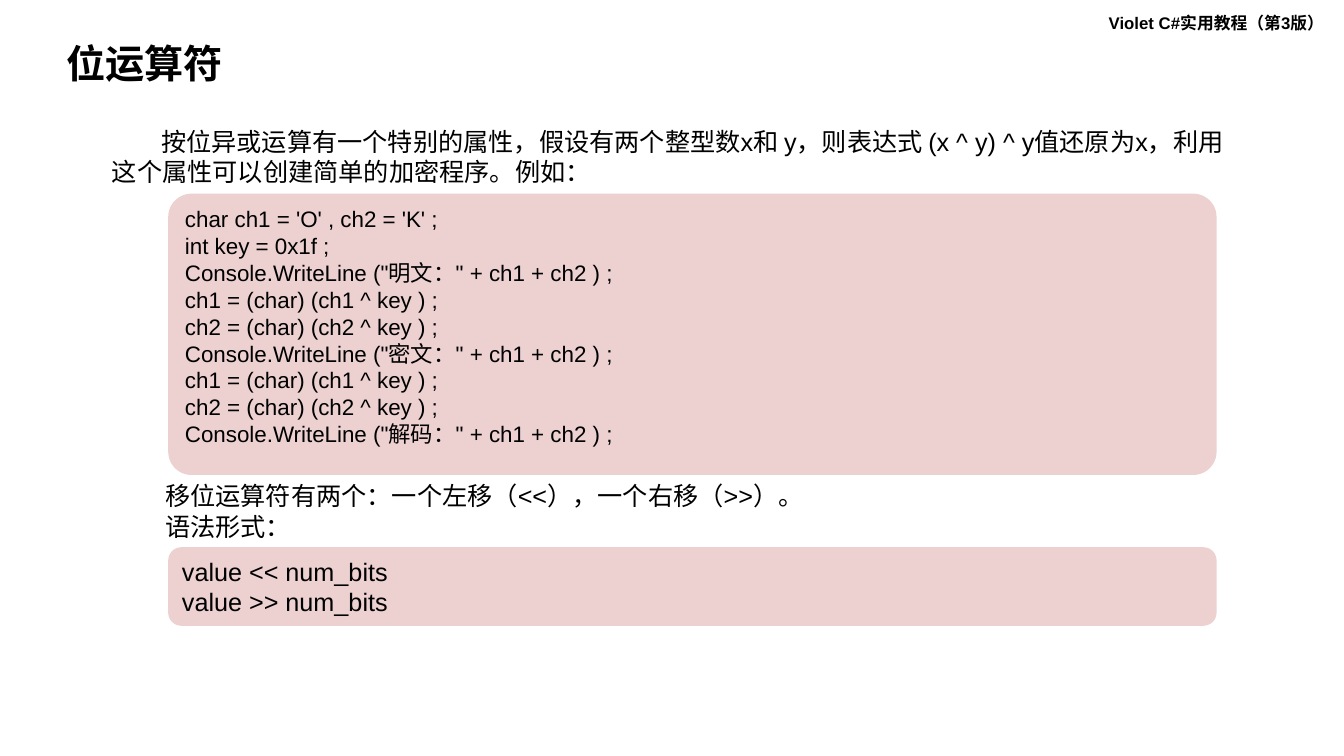
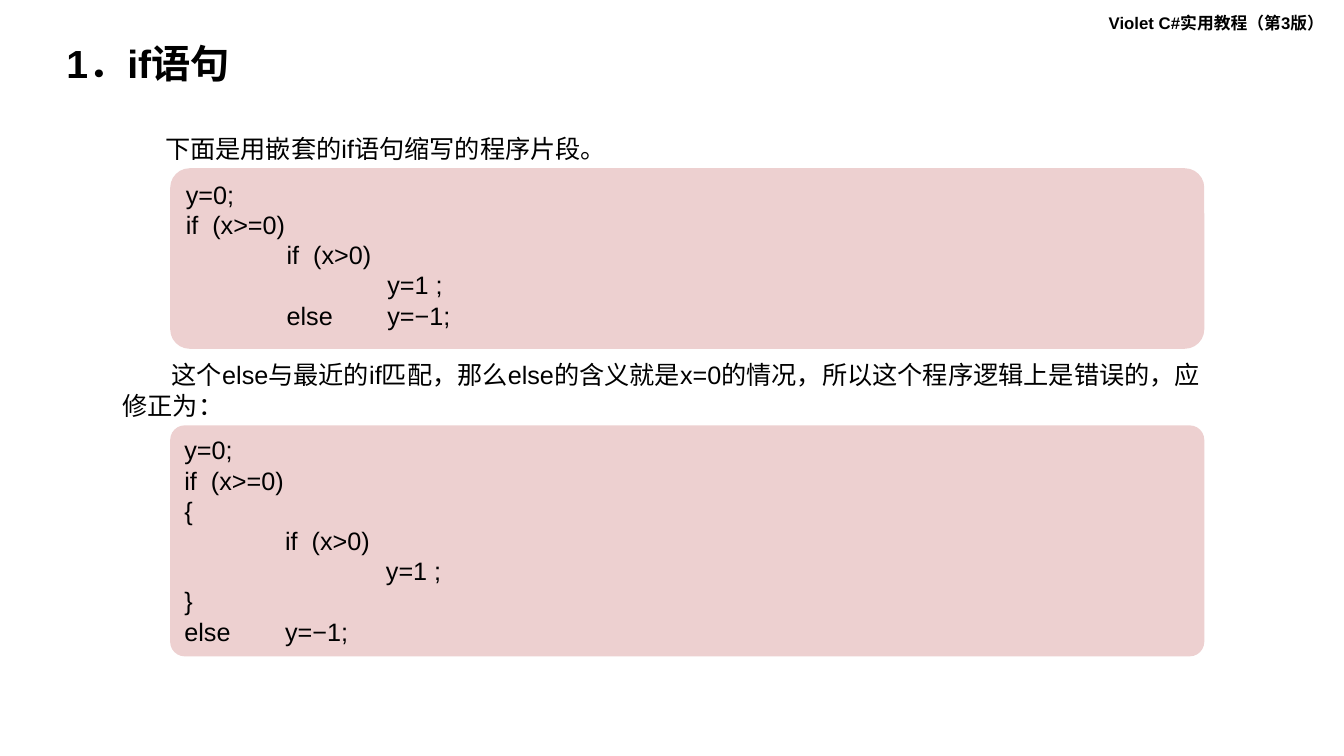
"""Builds two course slides on C# bit operators and the if statement."""
from dataclasses import dataclass

from lxml import etree
from pptx import Presentation
from pptx.dml.color import RGBColor
from pptx.enum import shapes, text
from pptx.oxml import ns
from pptx.util import Cm, Pt


@dataclass(frozen=True)
class Theme:
    ink: RGBColor = RGBColor(0, 0, 0)
    panel: RGBColor = RGBColor(0xED, 0xD0, 0xD0)
    font: str = "Arial"
    title: int = 28
    body: int = 18
    code: int = 16
    head: int = 12


theme = Theme()
tab = Cm(2.54)


def write(frame, words, size, bold=False, indent=0, tabs=0, wrap=True):
    frame.word_wrap = wrap
    frame.auto_size = text.MSO_AUTO_SIZE.NONE
    frame.text = words
    for para in frame.paragraphs:
        para.alignment = text.PP_ALIGN.LEFT
        props = para._p.get_or_add_pPr()
        if indent:
            props.set("indent", str(Cm(indent)))
        if tabs:
            stops = etree.SubElement(props, ns.qn("a:tabLst"))
            for step in range(1, tabs + 1):
                etree.SubElement(stops, ns.qn("a:tab"), pos=str(tab * step), algn="l")
        font = para.font
        font.name, font.size, font.bold = theme.font, Pt(size), bold
        font.color.rgb = theme.ink


def panel(slide, spot, round_by, words, size):
    box = slide.shapes.add_shape(shapes.MSO_SHAPE.ROUNDED_RECTANGLE, *map(Cm, spot))
    box.adjustments[0] = round_by
    box.shadow.inherit = False
    box.fill.solid()
    box.fill.fore_color.rgb = theme.panel
    box.line.fill.background()
    box.text_frame.vertical_anchor = text.MSO_ANCHOR.TOP
    write(box.text_frame, words, size, tabs=2)


bits = """char ch1 = 'O' , ch2 = 'K' ;
int key = 0x1f ;
Console.WriteLine ("明文：" + ch1 + ch2 ) ;
ch1 = (char) (ch1 ^ key ) ;
ch2 = (char) (ch2 ^ key ) ;
Console.WriteLine ("密文：" + ch1 + ch2 ) ;
ch1 = (char) (ch1 ^ key ) ;
ch2 = (char) (ch2 ^ key ) ;
Console.WriteLine ("解码：" + ch1 + ch2 ) ;"""
shift = "value << num_bits\nvalue >> num_bits"
wrong = "y=0;\nif  (x>=0)\n   \tif  (x>0)\n\t\ty=1 ;\n    \telse\ty=−1;"
right = "y=0;\nif  (x>=0)\n{\n\tif  (x>0)\n\t\ty=1 ;\n}\nelse \ty=−1;"

pages = [
    {
        "title": ("位运算符", 8.66),
        "prose": [
            ((2.57, 3.05, 28.63, 1.8), 1.24, True,
             "按位异或运算有一个特别的属性，假设有两个整型数x和 y，则表达式 (x ^ y) ^ y值还原为x，"
             "利用这个属性可以创建简单的加密程序。例如："),
            ((3.91, 11.99, 16.94, 1.8), 0, True,
             "移位运算符有两个：一个左移（<<），一个右移（>>）。\n语法形式："),
        ],
        "code": [
            ((4.24, 4.88, 26.42, 7.09), 0.083, bits, theme.code),
            ((4.24, 13.79, 26.42, 1.98), 0.167, shift, theme.body),
        ],
    },
    {
        "title": ("1．if语句", 11.66),
        "prose": [
            ((3.91, 3.23, 11.73, 1.02), 0, False, "下面是用嵌套的if语句缩写的程序片段。"),
            ((2.84, 8.94, 28.14, 1.8), 1.24, True,
             "这个else与最近的if匹配，那么else的含义就是x=0的情况，"
             "所以这个程序逻辑上是错误的，应修正为："),
        ],
        "code": [
            ((4.29, 4.24, 26.06, 4.55), 0.108, wrong, theme.body),
            ((4.29, 10.72, 26.06, 5.82), 0.063, right, theme.body),
        ],
    },
]

deck = Presentation()
deck.slide_width, deck.slide_height = Cm(33.87), Cm(19.05)
layout = deck.slide_layouts.get_by_name("Title Only")

for page in pages:
    slide = deck.slides.add_slide(layout)
    words, width = page["title"]
    title = slide.shapes.title
    title.left, title.top, title.width, title.height = map(Cm, (1.42, 0.99, width, 1.32))
    write(title.text_frame, words, theme.title, bold=True)
    title.text_frame.paragraphs[0].line_spacing = 0.9
    for (spot, indent, wrap, words), block in zip(page["prose"], page["code"]):
        box = slide.shapes.add_textbox(*map(Cm, spot))
        write(box.text_frame, words, theme.body, indent=indent, wrap=wrap)
        panel(slide, *block)

head = slide.shapes.add_textbox(*map(Cm, (27.69, 0.2, 6.2, 0.76)))
write(head.text_frame, "Violet C#实用教程（第3版）", theme.head, bold=True)
layout.shapes.element.append(head.element)

deck.save("out.pptx")
